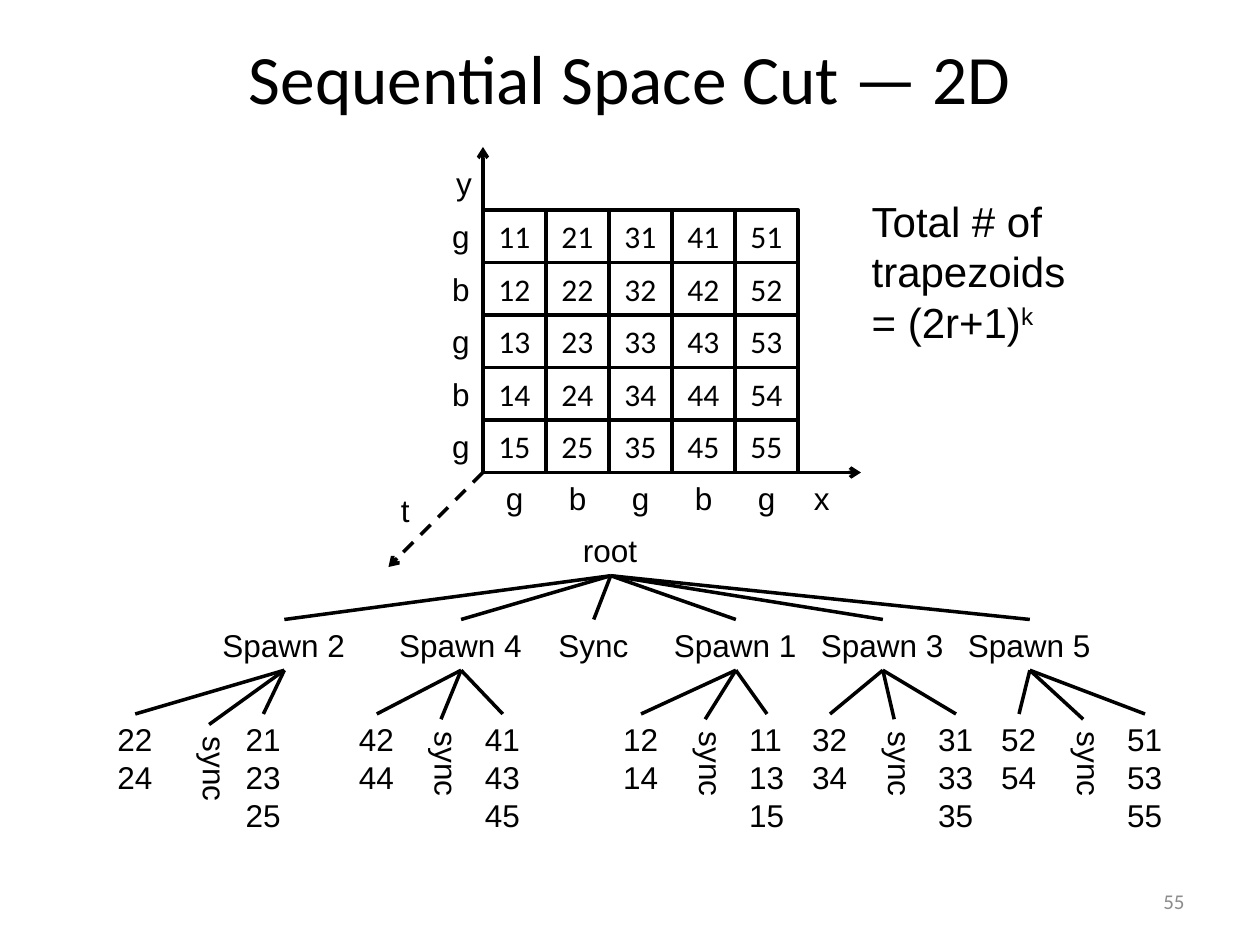
from lxml.etree import SubElement
from pptx import Presentation
from pptx.dml.color import RGBColor
from pptx.enum.dml import MSO_LINE
from pptx.enum.shapes import MSO_CONNECTOR, MSO_SHAPE
from pptx.enum.text import MSO_ANCHOR, MSO_AUTO_SIZE, PP_ALIGN
from pptx.oxml.ns import qn
from pptx.util import Pt

BLACK = RGBColor(0x00, 0x00, 0x00)
WHITE = RGBColor(0xFF, 0xFF, 0xFF)
GRAY = RGBColor(0x8C, 0x8C, 0x8C)

GRID_X, GRID_Y, CELL_W, CELL_H, N = 276, 120, 36, 30, 5
LABEL_H, LETTER_W, SPAWN_W, LEAF_W, SYNC_W = 29, 24.5, 85, 34.6, 36
ROOT, ROOT_BOTTOM = 349, 329
SPAWN_Y, LEAF_Y, SYNC_Y = 354, 408, 411

# Digit, left of spawn label, left of even leaves, offsets of sync and odd leaves, sync drop
SPAWNS = [
    (2, 120, 60, 41.5, 73.2, 3),
    (4, 221, 198, 36, 72, 0),
    (1, 378, 349, 36, 72, 0),
    (3, 462, 457, 36, 72, 0),
    (5, 546, 565, 36, 72, 0),
]


class Diagram:
    def __init__(self, slide, size=18, font="Arial", line_width=2):
        self.slide = slide
        self.size = size
        self.font = font
        self.line_width = line_width

    def style(self, p, size=None, font=None, color=BLACK, align=None):
        p.font.size = Pt(size or self.size)
        p.font.name = font or self.font
        p.font.color.rgb = color
        p.alignment = align

    def cell(self, x, y, text):
        sp = self.slide.shapes.add_shape(
            MSO_SHAPE.RECTANGLE, Pt(x), Pt(y), Pt(CELL_W), Pt(CELL_H))
        sp.shadow.inherit = False
        sp.fill.solid()
        sp.fill.fore_color.rgb = WHITE
        sp.line.color.rgb = BLACK
        sp.line.width = Pt(self.line_width)
        tf = sp.text_frame
        tf.text = text
        tf.vertical_anchor = MSO_ANCHOR.MIDDLE
        self.style(tf.paragraphs[0], font="Calibri", align=PP_ALIGN.CENTER)

    def text(self, x, y, w, h, lines, wrap=True, anchor=MSO_ANCHOR.TOP, **style):
        tf = self.slide.shapes.add_textbox(Pt(x), Pt(y), Pt(w), Pt(h)).text_frame
        tf.word_wrap = wrap
        tf.vertical_anchor = anchor
        tf.text = lines
        for p in tf.paragraphs:
            self.style(p, **style)
        return tf

    def label(self, x, y, w, lines, h=LABEL_H, vertical=False):
        """Add an unwrapped text that fits its box, optionally turned sideways."""
        tf = self.text(x, y, w, h, lines, wrap=False)
        tf.auto_size = MSO_AUTO_SIZE.SHAPE_TO_FIT_TEXT
        if vertical:
            tf._txBody.bodyPr.set("vert", "eaVert")

    def line(self, x1, y1, x2, y2, arrow=False, dashed=False):
        cx = self.slide.shapes.add_connector(
            MSO_CONNECTOR.STRAIGHT, Pt(x1), Pt(y1), Pt(x2), Pt(y2))
        cx.line.color.rgb = BLACK
        cx.line.width = Pt(self.line_width)
        if dashed:
            cx.line.dash_style = MSO_LINE.DASH
        if arrow:
            SubElement(cx.line._get_or_add_ln(), qn("a:tailEnd"), type="arrow")
        SubElement(cx._element.spPr, qn("a:effectLst"))


def draw_grid(d):
    for row in range(N):
        for col in range(N):
            d.cell(GRID_X + col * CELL_W, GRID_Y + row * CELL_H, f"{col + 1}{row + 1}")
    bottom = GRID_Y + N * CELL_H
    d.line(GRID_X, bottom, 492, bottom, arrow=True)
    d.line(GRID_X, bottom, GRID_X, 84, arrow=True)
    d.line(GRID_X, bottom, 222, 324, arrow=True, dashed=True)
    d.label(458, bottom, 22.3, "x")
    d.label(253.5, 90, 23, "y")
    d.label(222, 277, 21, "t")
    for i, color in enumerate("gbgbg"):
        d.label(251.3, GRID_Y + 0.7 + i * CELL_H, LETTER_W, color)
        d.label(282 + i * CELL_W, bottom, LETTER_W, color)


def draw_spawn(d, digit, left, leaf_x, sync_dx, odd_dx, drop):
    center, bottom = left + SPAWN_W / 2, SPAWN_Y + LABEL_H
    sync_x, odd_x, sync_y = leaf_x + sync_dx, leaf_x + odd_dx, SYNC_Y + drop
    d.label(left, SPAWN_Y, SPAWN_W, f"Spawn {digit}")
    d.line(ROOT, ROOT_BOTTOM, center, SPAWN_Y)
    d.label(leaf_x, LEAF_Y, LEAF_W, f"{digit}2\n{digit}4", h=51)
    d.label(sync_x, sync_y, SYNC_W, "sync", h=45, vertical=True)
    d.label(odd_x, LEAF_Y, LEAF_W, f"{digit}1\n{digit}3\n{digit}5", h=73)
    d.line(center, bottom, leaf_x + LEAF_W / 2, LEAF_Y)
    d.line(center, bottom, sync_x + SYNC_W / 2, sync_y)
    d.line(center, bottom, odd_x + LEAF_W / 2, LEAF_Y)


def main():
    prs = Presentation()
    prs.slide_width, prs.slide_height = Pt(720), Pt(540)
    d = Diagram(prs.slides.add_slide(prs.slide_layouts[6]))

    d.text(36, 21.6, 648, 44.6, "Sequential Space Cut — 2D", anchor=MSO_ANCHOR.MIDDLE,
           size=39.6, font="Calibri", align=PP_ALIGN.CENTER)
    draw_grid(d)

    d.label(326, 300, 46, "root")
    d.label(312, SPAWN_Y, 54.7, "Sync")
    d.line(ROOT, ROOT_BOTTOM, 339.3, SPAWN_Y)
    for spawn in SPAWNS:
        draw_spawn(d, *spawn)

    tf = d.text(491, 108, 140.4, 94.3, "Total # of trapezoids = (2r+1)", size=24)
    r = tf.paragraphs[0].add_run()
    r.text = "k"
    r.font._element.set("baseline", "30000")

    d.text(516, 500.4, 168, 28.8, "55", anchor=MSO_ANCHOR.MIDDLE,
           size=12, font="Calibri", color=GRAY, align=PP_ALIGN.RIGHT)
    prs.save("out.pptx")


if __name__ == "__main__":
    main()
